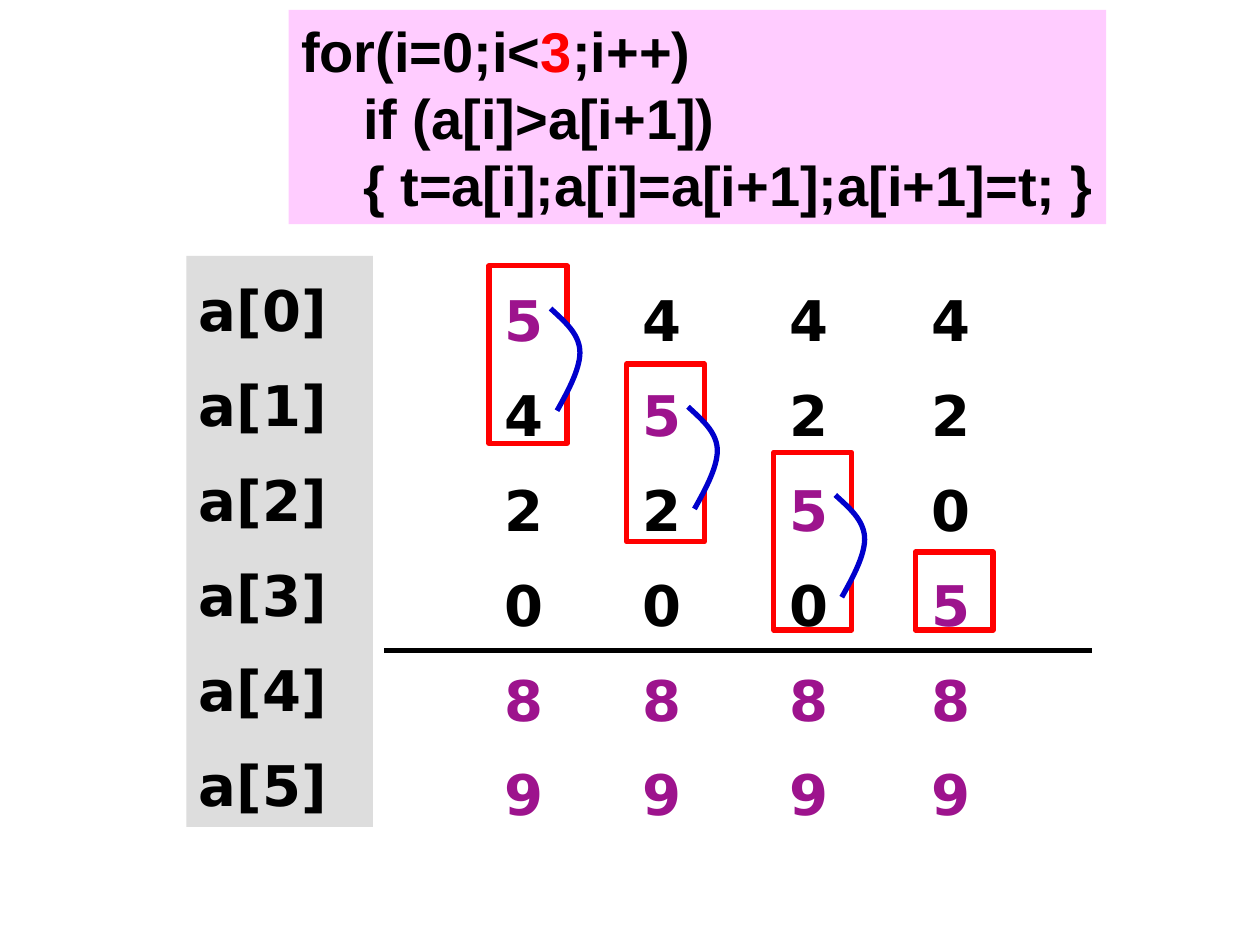
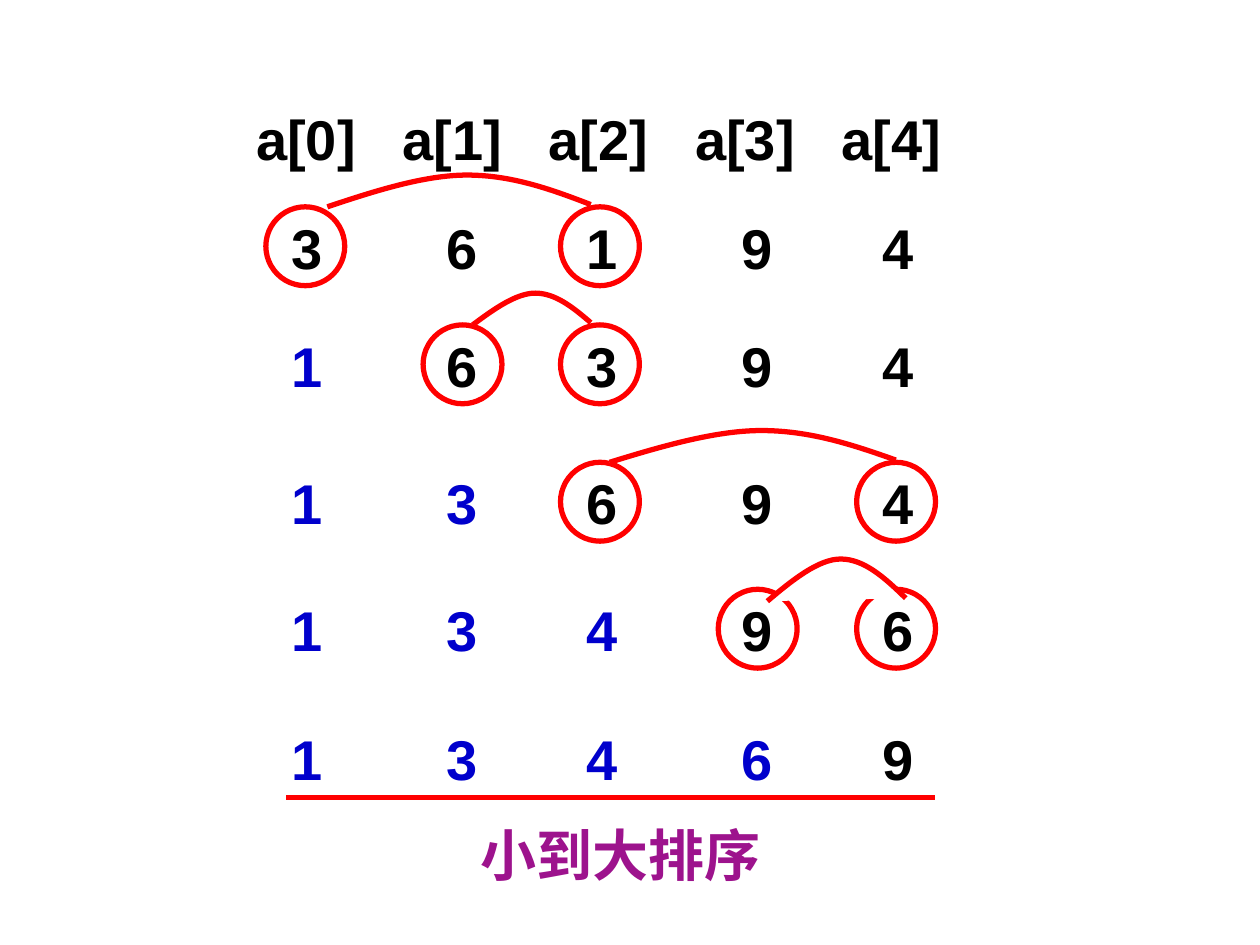
from lxml.etree import SubElement as Sub
from pptx import Presentation as Deck
from pptx.dml.color import RGBColor
from pptx.enum.shapes import MSO_CONNECTOR as Link, MSO_SHAPE as Form
from pptx.enum.text import MSO_ANCHOR as Anchor, PP_ALIGN as Align
from pptx.oxml.ns import qn
from pptx.util import Cm, Pt

BLACK = RGBColor(0x00, 0x00, 0x00)
WHITE = RGBColor(0xFF, 0xFF, 0xFF)
RED = RGBColor(0xFF, 0x00, 0x00)
BLUE = RGBColor(0x00, 0x00, 0xCC)
PLUM = RGBColor(0x9D, 0x13, 0x8D)
GREY = RGBColor(0xDD, 0xDD, 0xDD)
PINK = RGBColor(0xFF, 0xCC, 0xFF)

SANS, MONO = "Arial", "DejaVu Sans"
SIZE, STROKE = Pt(32), Pt(3)
PITCH, TALL = Pt(38.5), Pt(46.2)

HEADS = [2.16 + 2.95 * i for i in range(5)]
STOPS = [2.18, 5.3, 8.13, 11.26, 14.1]
RINGS = [5.36, 8.53, 11.3, 14.48, 17.27]
ROW_X, ROW_W, ROW_H = 3.76, 16.66, 1.63

SWAP = [(1.37, 2.92), (1.63, 2.46), (1.85, 2.03), (1.83, 1.7),
        (1.8, 1.35), (1.52, 1.12), (1.24, 0.86)]
ARCH = [(0, 0), (0.18, 0.5), (0.37, 1), (0.53, 1),
        (0.7, 1), (0.85, 0.55), (1, 0.07)]

PASSES = [
    (9.93, 5.36, 3.58, "542089", "589"),
    (12.7, 7.34, 3.58, "452089", "589"),
    (15.67, 9.12, 3.58, "425089", "589"),
    (18.52, 11.13, 1.57, "420589", "589"),
]

ROWS = [
    (4.17, "36194", 0, (0, 2), (6.6, 11.91, 4.17, 0.64)),
    (6.55, "16394", 1, (1, 2), (9.53, 11.91, 6.55, 0.64)),
    (9.32, "13694", 2, (2, 4), (12.29, 18.06, 9.32, 0.64)),
    (11.88, "13496", 3, (3, 4), (15.47, 18.26, 12.12, 0.85)),
    (14.48, "13469", 4, (), None),
]


def write(shape, lines, face, pitch=PITCH, gap=0, align=Align.LEFT, tabs=(), wrap=True):
    frame = shape.text_frame
    frame.word_wrap = wrap
    frame.vertical_anchor = Anchor.TOP
    for i, runs in enumerate(lines):
        para = frame.add_paragraph() if i else frame.paragraphs[0]
        para.alignment = align
        para.line_spacing = pitch
        para.space_before = Pt(gap if i else 0)
        if tabs:
            stops = Sub(para._p.get_or_add_pPr(), qn("a:tabLst"))
            for x in tabs:
                Sub(stops, qn("a:tab"), pos=str(Cm(x)), algn="ctr")
        for words, color in runs:
            run = para.add_run()
            run.text = words
            font = run.font
            font.name, font.size, font.bold = face, SIZE, True
            font.color.rgb = color


def label(slide, x, y, w, h, lines, face, **style):
    box = slide.shapes.add_textbox(Cm(x), Cm(y), Cm(w), Cm(h))
    write(box, lines, face, **style)


def panel(slide, x, y, w, h, fill, lines, face, **style):
    shape = slide.shapes.add_shape(Form.RECTANGLE, Cm(x), Cm(y), Cm(w), Cm(h))
    shape.shadow.inherit = False
    shape.fill.solid()
    shape.fill.fore_color.rgb = fill
    shape.line.fill.background()
    write(shape, lines, face, **style)


def mark(slide, form, x, y, w, h):
    shape = slide.shapes.add_shape(form, Cm(x), Cm(y), Cm(w), Cm(h))
    shape.shadow.inherit = False
    shape.fill.background()
    shape.line.color.rgb = RED
    shape.line.width = STROKE


def rule(slide, x, y, end, color):
    line = slide.shapes.add_connector(Link.STRAIGHT, Cm(x), Cm(y), Cm(end), Cm(y))
    line.line.color.rgb = color
    line.line.width = STROKE
    Sub(line.element.spPr, qn("a:effectLst"))


def curve(slide, points, color):
    start, *rest = [(Cm(x), Cm(y)) for x, y in points]
    pen = slide.shapes.build_freeform(*start)
    pen.add_line_segments(rest, close=False)
    shape = pen.convert_to_shape()
    legs = list(shape.element.iter(qn("a:lnTo")))
    for i in range(0, len(legs), 3):
        bend = Sub(legs[i].getparent(), qn("a:cubicBezTo"))
        for leg in legs[i:i + 3]:
            bend.append(leg[0])
            leg.getparent().remove(leg)
    shape.shadow.inherit = False
    shape.fill.solid()
    shape.fill.fore_color.rgb = WHITE
    shape.line.color.rgb = color
    shape.line.width = STROKE


def bubble(slide):
    rule(slide, 7.75, 13.11, 22.02, BLACK)
    for x, top, high, digits, hot in PASSES:
        lines = [[(d, PLUM if d in hot else BLACK)] for d in digits]
        label(slide, x, 5.36, 1.98, 11.51, lines, MONO, pitch=TALL, gap=8)
        left = x - 0.07
        mark(slide, Form.FLOWCHART_PROCESS, left, top, 1.57, high)
        if high > 2:
            curve(slide, [(left + dx, top + dy) for dx, dy in SWAP], BLUE)
    names = [[(f"a[{i}]", BLACK)] for i in range(6)]
    panel(slide, 3.76, 5.16, 3.76, 11.51, GREY, names, MONO, pitch=TALL, gap=8)
    code = [
        [("for(i=0;i<", BLACK), ("3", RED), (";i++)", BLACK)],
        [("    if (a[i]>a[i+1])", BLACK)],
        [("    { t=a[i];a[i]=a[i+1];a[i+1]=t; }", BLACK)],
    ]
    panel(slide, 5.82, 0.2, 16.48, 4.32, PINK, code, SANS, wrap=False)


def row(slide, y, runs, tabs):
    label(slide, ROW_X, y, ROW_W, ROW_H, [runs], SANS, tabs=tabs)


def tabbed(items):
    return "".join("\t" + item for item in items)


def select(slide):
    row(slide, 1.98, [(tabbed(f"a[{i}]" for i in range(5)), BLACK)], HEADS)
    for y, digits, done, picks, arc in ROWS:
        parts = [(digits[:done], BLUE), (digits[done:], BLACK)]
        row(slide, y, [(tabbed(d), c) for d, c in parts if d], STOPS)
        for col in picks:
            mark(slide, Form.OVAL, RINGS[col], y, 1.59, 1.59)
        if arc:
            x, end, base, rise = arc
            points = [(x + (end - x) * u, base - rise * v) for u, v in ARCH]
            curve(slide, points, RED)
    label(slide, 7.54, 16.28, 9.93, ROW_H, [[("小到大排序", PLUM)]], SANS,
          pitch=Pt(42), align=Align.CENTER)
    rule(slide, 5.77, 16.08, 18.85, RED)


def main():
    deck = Deck()
    deck.slide_width, deck.slide_height = Cm(25.4), Cm(19.05)
    for draw in (bubble, select):
        draw(deck.slides.add_slide(deck.slide_layouts[6]))
    deck.save("out.pptx")


if __name__ == "__main__":
    main()
